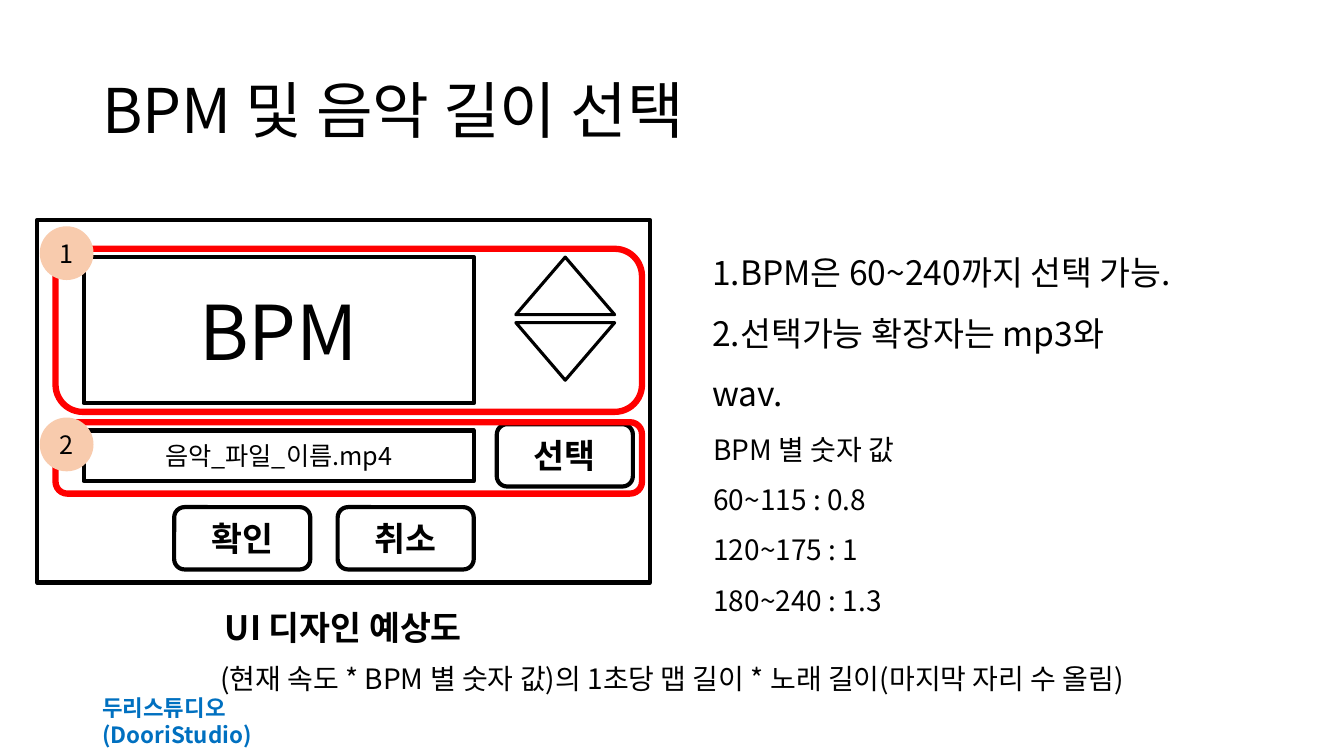
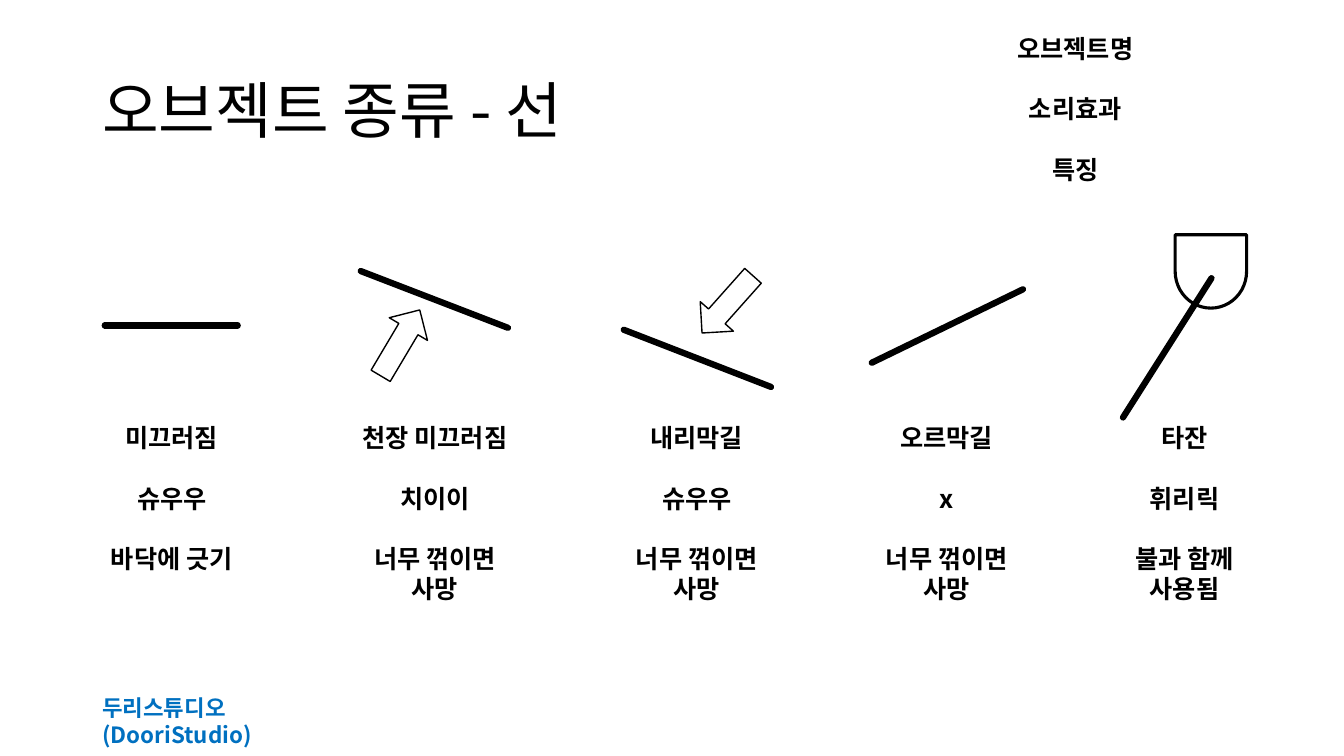
"""Build two game design slides: song settings and line objects."""
from lxml import etree
from pptx import Presentation
from pptx import util as u
from pptx.dml.color import RGBColor
from pptx.enum import shapes, text
from pptx.oxml.ns import qn

FONT = "Noto Sans CJK KR"
BLACK = RGBColor(0x00, 0x00, 0x00)
WHITE = RGBColor(0xFF, 0xFF, 0xFF)
RED = RGBColor(0xFF, 0x00, 0x00)
BLUE = RGBColor(0x00, 0x70, 0xC0)
PEACH = RGBColor(0xF8, 0xCB, 0xAD)
KIND = shapes.MSO_SHAPE
LEFT, CENTER = text.PP_ALIGN.LEFT, text.PP_ALIGN.CENTER
TOP, MIDDLE = text.MSO_ANCHOR.TOP, text.MSO_ANCHOR.MIDDLE

COLUMN_TOP, COLUMN_WIDTH = 5.9, 4.6
CAPTION_OFFSET, CAPTION_HEIGHT = 4.62, 4.88


def lengths(box):
    """Turn a box in centimetres into slide lengths."""
    return [u.Cm(value) for value in box]


def inside(origin, box):
    """Shift a box so that it is measured from an origin."""
    return (origin[0] + box[0], origin[1] + box[1], *box[2:])


def write(frame, lines, size, bold=False, color=BLACK, align=LEFT,
          anchor=TOP, spacing=None, gap=0):
    """Fill a text frame with evenly styled paragraphs."""
    frame.word_wrap = True
    frame.vertical_anchor = anchor
    for index, line in enumerate(lines):
        paragraph = frame.add_paragraph() if index else frame.paragraphs[0]
        paragraph.text = line
        paragraph.alignment = align
        paragraph.line_spacing = spacing
        paragraph.space_before = u.Pt(gap if index else 0)
        font = paragraph.font
        font.name, font.size, font.bold = FONT, u.Pt(size), bold
        font.color.rgb = color
        properties = paragraph._p.pPr.find(qn("a:defRPr"))
        etree.SubElement(properties, qn("a:ea"), typeface=FONT)


def add_text(slide, box, lines, size, **style):
    """Place a text box."""
    write(slide.shapes.add_textbox(*lengths(box)).text_frame, lines, size, **style)


def add_shape(slide, kind, box, label=None, size=18, bold=False,
              fill=WHITE, line=BLACK, width=3, rotation=0):
    """Place an outlined shape with an optional centred label."""
    shape = slide.shapes.add_shape(kind, *lengths(box))
    shape.shadow.inherit = False
    shape.rotation = rotation
    if fill is None:
        shape.fill.background()
    else:
        shape.fill.solid()
        shape.fill.fore_color.rgb = fill
    shape.line.color.rgb = line
    shape.line.width = u.Pt(width)
    if label:
        frame = shape.text_frame
        frame.margin_left = frame.margin_right = 0
        frame.margin_top = frame.margin_bottom = 0
        write(frame, [label], size, bold=bold, align=CENTER, anchor=MIDDLE)


def add_stroke(slide, start, end):
    """Draw a thick black line with round ends."""
    stroke = slide.shapes.add_connector(
        shapes.MSO_CONNECTOR.STRAIGHT, *lengths(start + end))
    stroke.line.color.rgb = BLACK
    stroke.line.width = u.Pt(4.5)
    properties = stroke._element.spPr
    properties.find(qn("a:ln")).set("cap", "rnd")
    etree.SubElement(properties, qn("a:effectLst"))


def add_page(presentation, title):
    """Add a blank slide with the shared title and studio footer."""
    slide = presentation.slides.add_slide(presentation.slide_layouts[6])
    add_text(slide, (2.33, 1.02, 29.21, 3.68), [title], 44,
             anchor=MIDDLE, spacing=0.9)
    add_text(slide, (2.33, 17.65, 7.62, 1.02), ["두리스튜디오\v(DooriStudio)"], 16,
             bold=True, color=BLUE, anchor=MIDDLE)
    return slide


def add_mockup(slide, box):
    """Draw the settings window, its caption and numbered highlights."""
    add_shape(slide, KIND.RECTANGLE, box)
    fields = [(0.94, 3.68, "BPM", 54), (5.31, 1.27, "음악_파일_이름.mp4", 18)]
    for top, height, label, size in fields:
        add_shape(slide, KIND.RECTANGLE, inside(box, (1.17, top, 9.83, height)),
                  label, size)
    buttons = [(3.45, 7.24, "확인"), (7.57, 7.24, "취소"), (11.58, 5.15, "선택")]
    for left, top, label in buttons:
        add_shape(slide, KIND.ROUNDED_RECTANGLE,
                  inside(box, (left, top, 3.43, 1.57)), label, 24, bold=True)
    for top, rotation in [(0.94, 0), (2.59, 180)]:
        add_shape(slide, KIND.ISOSCELES_TRIANGLE,
                  inside(box, (12.06, top, 2.49, 1.45)), width=2.25, rotation=rotation)
    add_text(slide, inside(box, (4.17, 9.62, 7.09, 1.27)), ["UI 디자인 예상도"], 24,
             bold=True, align=CENTER)
    highlights = [(0.73, 4.11, 0.18), (5.1, 1.8, 5.0)]
    for top, height, _ in highlights:
        add_shape(slide, KIND.ROUNDED_RECTANGLE,
                  inside(box, (0.46, top, 14.78, height)),
                  fill=None, line=RED, width=4.5)
    for number, (_, _, top) in enumerate(highlights, 1):
        add_shape(slide, KIND.OVAL, inside(box, (0.08, top, 1.32, 1.32)),
                  str(number), fill=PEACH, line=PEACH, width=1)


def add_rules(slide, box):
    """Write the selection rules and the value for each BPM range."""
    add_text(slide, inside(box, (0, 0, 13.7, 3.33)),
             ["1.BPM은 60~240까지 선택 가능.",
              "2.선택가능 확장자는 mp3와\vwav."], 24, spacing=1.5)
    add_text(slide, inside(box, (0.03, 4.62, 14.43, 5.38)),
             ["BPM 별 숫자 값", "60~115 : 0.8", "120~175 : 1", "180~240 : 1.3"],
             20, spacing=1.5)


def add_caption(slide, left, top, lines):
    """Write a spaced list of name, sound effect and feature."""
    add_text(slide, (left, top, COLUMN_WIDTH, CAPTION_HEIGHT), lines, 18,
             bold=True, align=CENTER, gap=21.6)


def add_object(slide, left, lines, start, end, extra=None):
    """Draw one line object in its column, with its caption."""
    origin = (left, COLUMN_TOP)
    if extra:
        kind, box, rotation, width = extra
        add_shape(slide, kind, inside(origin, box), width=width, rotation=rotation)
    add_stroke(slide, inside(origin, start), inside(origin, end))
    add_caption(slide, left, COLUMN_TOP + CAPTION_OFFSET, lines)


def build_settings(presentation):
    """Build the BPM and song length slide."""
    slide = add_page(presentation, "BPM 및 음악 길이 선택")
    add_mockup(slide, (0.94, 5.54, 15.44, 9.14))
    add_rules(slide, (17.7, 5.72))
    add_text(slide, (3.48, 16.54, 26.92, 1.12),
             ["(현재 속도 * BPM 별 숫자 값)의 1초당 맵 길이 * 노래 길이(마지막 자리 수 올림)"],
             20, align=CENTER)


def build_objects(presentation):
    """Build the slide of line objects."""
    slide = add_page(presentation, "오브젝트 종류 - 선")
    add_caption(slide, 24.8, 0.71, ["오브젝트명", "소리효과", "특징"])
    fatal = "너무 꺾이면\v사망"
    ceiling_arrow = (KIND.LEFT_ARROW, (0.46, 2.18, 1.93, 1.12), 120.7, 1)
    downhill_arrow = (KIND.LEFT_ARROW, (2.11, 1.21, 1.93, 1.12), 311.7, 1)
    swing_anchor = (KIND.FLOWCHART_DELAY, (2.04, 0.04, 1.85, 1.8), 90, 2.25)
    objects = [
        (2.03, ["미끄러짐", "슈우우", "바닥에 긋기"], (0.61, 2.3), (3.96, 2.3)),
        (8.66, ["천장 미끄러짐", "치이이", fatal],
         (0.43, 0.93), (4.14, 2.36), ceiling_arrow),
        (15.26, ["내리막길", "슈우우", fatal],
         (0.46, 2.41), (4.17, 3.85), downhill_arrow),
        (21.56, ["오르막길", "x", fatal], (0.41, 3.24), (4.22, 1.39)),
        (27.55, ["타잔", "휘리릭", "불과 함께\v사용됨"],
         (0.75, 4.62), (2.98, 1.11), swing_anchor),
    ]
    for entry in objects:
        add_object(slide, *entry)


def main():
    """Create and save the presentation."""
    presentation = Presentation()
    presentation.slide_width = u.Cm(33.87)
    presentation.slide_height = u.Cm(19.05)
    build_settings(presentation)
    build_objects(presentation)
    presentation.save("out.pptx")


main()
